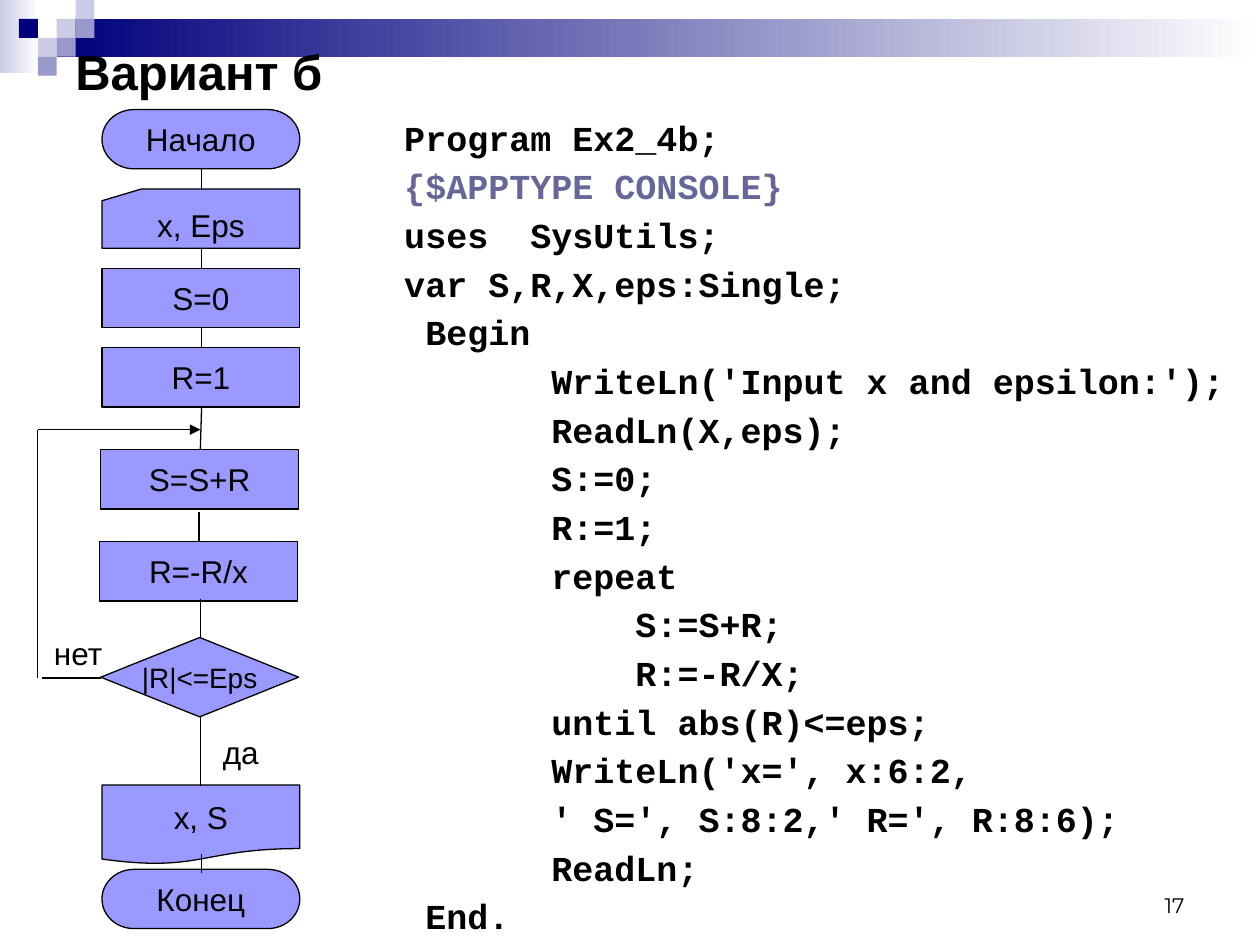
from lxml import etree
from pptx import Presentation
from pptx.dml.color import RGBColor
from pptx.enum.shapes import MSO_CONNECTOR as Connector, MSO_SHAPE as Shape
from pptx.enum.text import MSO_ANCHOR as Anchor, PP_ALIGN as Align
from pptx.oxml.ns import qn
from pptx.util import Inches, Pt

COLUMNS, ROWS = 100, 75  # grid laid over the whole slide


def color(value):
    return RGBColor.from_string(value)


def write(box, text, font="Arial", size=18, ink="000000", bold=False, align=Align.LEFT,
          anchor=Anchor.TOP, wrap=True, spacing=None, before=0, hanging=0, inks=None):
    """Fill a box with text, one paragraph per line; inks recolours single lines."""
    frame = box.text_frame
    frame.word_wrap = wrap
    frame.vertical_anchor = anchor
    for index, line in enumerate(text.split("\n")):
        para = frame.add_paragraph() if index else frame.paragraphs[0]
        para.alignment = align
        if spacing:
            para.line_spacing = spacing
        if index and before:
            para.space_before = Pt(before)
        if hanging:
            properties = para._p.get_or_add_pPr()
            properties.set("marL", str(Inches(hanging)))
            properties.set("indent", str(-Inches(hanging)))
        span = para.add_run()
        span.text = line
        span.font.name, span.font.size, span.font.bold = font, Pt(size), bold
        span.font.color.rgb = color((inks or {}).get(index, ink))


class Page:
    """The current slide and its style; lengths are grid columns and rows."""
    node_fill, outline, line_width = "9999FF", "000000", 0.75

    def __init__(self, deck):
        self.column, self.row = deck.slide_width / COLUMNS, deck.slide_height / ROWS
        self.shapes = deck.slides.add_slide(deck.slide_layouts[6]).shapes

    def place(self, x, y, width, height):
        return (round(x * self.column), round(y * self.row),
                round(width * self.column), round(height * self.row))

    def shape(self, kind, *area):
        shape = self.shapes.add_shape(kind, *self.place(*area))
        shape.shadow.inherit = False
        return shape

    def block(self, *area, fill, fade_to=None):
        block = self.shape(Shape.RECTANGLE, *area)
        block.line.fill.background()
        if fade_to:
            block.fill.gradient()
            block.fill.gradient_angle = 0
            for stop, (value, position) in zip(block.fill.gradient_stops,
                                               ((fill, 0), (fade_to, 1))):
                stop.color.rgb, stop.position = color(value), position
        else:
            block.fill.solid()
            block.fill.fore_color.rgb = color(fill)

    def node(self, kind, text, *area, size=18):
        node = self.shape(kind, *area)
        node.fill.solid()
        node.fill.fore_color.rgb = color(self.node_fill)
        node.line.color.rgb = color(self.outline)
        node.line.width = Pt(self.line_width)
        write(node, text, size=size, align=Align.CENTER, anchor=Anchor.MIDDLE, wrap=False)

    def text(self, text, *area, **style):
        write(self.shapes.add_textbox(*self.place(*area)), text, **style)

    def line(self, *ends, arrow=False):
        line = self.shapes.add_connector(Connector.STRAIGHT, *self.place(*ends))
        line.line.color.rgb = color(self.outline)
        line.line.width = Pt(self.line_width)
        if arrow:
            etree.SubElement(line.line._get_or_add_ln(), qn("a:tailEnd"), type="triangle")
        etree.SubElement(line._element.spPr, qn("a:effectLst"))


CODE = """Program Ex2_4b;
{$APPTYPE CONSOLE}
uses  SysUtils;
var S,R,X,eps:Single;
 Begin
       WriteLn('Input x and epsilon:');
       ReadLn(X,eps);
       S:=0;
       R:=1;
       repeat
           S:=S+R;
           R:=-R/X;
       until abs(R)<=eps;
       WriteLn('x=', x:6:2,
       ' S=', S:8:2,' R=', R:8:6);
       ReadLn;
 End."""

# Flowchart nodes: shape, text, left, top, height, text size
NODE_WIDTH = 15.7
NODES = [
    (Shape.FLOWCHART_TERMINATOR, "Начало", 8.1, 8.7, 4.7, 18),
    (Shape.FLOWCHART_CARD, "x, Eps", 8.1, 15, 4.7, 18),
    (Shape.RECTANGLE, "S=0", 8.1, 21.3, 4.7, 18),
    (Shape.RECTANGLE, "R=1", 8.1, 27.6, 4.7, 18),
    (Shape.RECTANGLE, "S=S+R", 8, 35.7, 4.7, 18),
    (Shape.RECTANGLE, "R=-R/x", 7.9, 43, 4.7, 18),
    (Shape.DIAMOND, "|R|<=Eps", 8, 50.6, 6.3, 16),
    (Shape.FLOWCHART_DOCUMENT, "x, S", 8.1, 62.3, 6.3, 18),
    (Shape.FLOWCHART_TERMINATOR, "Конец", 8.1, 69, 4.7, 18),
]

# Links between nodes: x and y of the start, x and y of the end
LINKS = [
    (16, 13.4, 16, 15), (16, 19.7, 16, 21.3), (16, 26, 16, 27.6),
    (15.9, 35.7, 16, 32.3), (15.8, 40.6, 15.8, 42.9), (15.9, 47.5, 15.9, 50.6),
    (15.9, 56.9, 15.9, 62.4), (16, 67.8, 16, 69.3),
    (3.3, 53.8, 8, 53.8), (3, 53.8, 3, 34.1),
]

# Corner mosaic: column and row in squares, colour
SQUARE, MOSAIC_LEFT = 1.5, 1.5
MOSAIC = [
    (2, 1, "CCCCE6"), (3, 0, "CCCCE6"), (3, 1, "9999CC"), (1, 2, "CCCCE6"),
    (0, 1, "00007D"), (2, 2, "9999CC"), (1, 3, "9999CC"),
]


def main():
    deck = Presentation()
    deck.slide_width, deck.slide_height = Inches(10), Inches(7.5)
    page = Page(deck)

    # Header band and corner mosaic
    page.block(0, 0, 3.1, 5.8, fill="CCCCE6", fade_to="FFFFFF")
    page.block(4.5, 1.5, 95.5, 3, fill="00007D", fade_to="FFFFFF")
    for column, row, fill in MOSAIC:
        page.block(MOSAIC_LEFT + column * SQUARE, row * SQUARE, SQUARE, SQUARE, fill=fill)

    # Title, program and page number
    page.text("Вариант б", 5, 2.8, 90, 5.6, size=28, bold=True, anchor=Anchor.MIDDLE)
    page.text(CODE, 31.1, 9.1, 68.9, 65.9, font="Courier New", size=20, bold=True,
              spacing=0.9, before=6.2, hanging=0.38, inks={1: "666699"})
    page.text("17", 71.7, 68.3, 23.3, 5, font="Montserrat", size=12,
              align=Align.RIGHT, anchor=Anchor.BOTTOM)

    # Flowchart
    for kind, text, left, top, height, size in NODES:
        page.node(kind, text, left, top, NODE_WIDTH, height, size=size)
    # place() only scales, so it also serves for the two ends of a line
    for link in LINKS:
        page.line(*link)
    page.line(3, 34.1, 15.9, 34.1, arrow=True)
    page.text("да", 16.7, 57.7, 4.9, 4)
    page.text("нет", 3.3, 49.8, 7.1, 4)

    deck.save("out.pptx")


if __name__ == "__main__":
    main()
